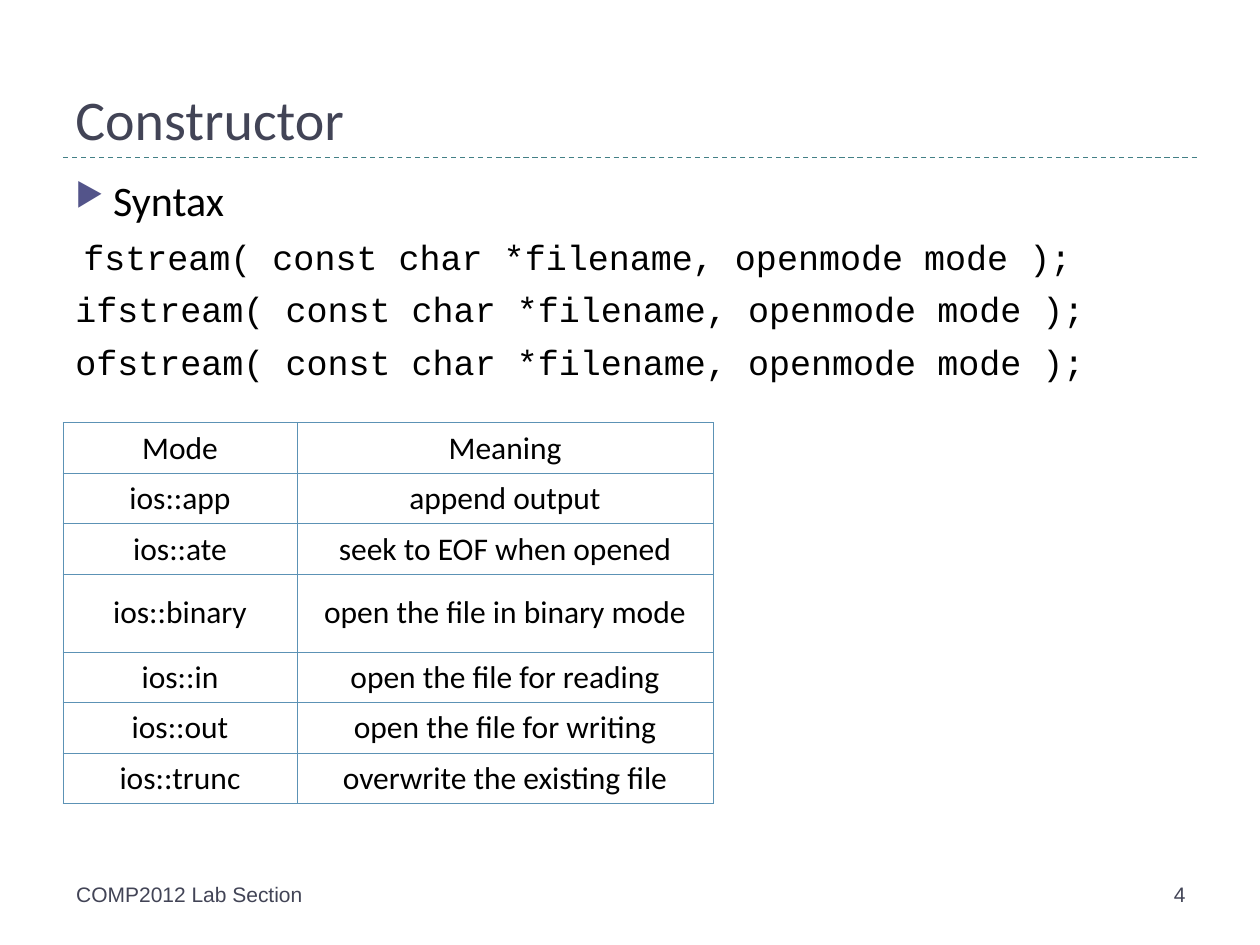
from lxml import etree
from pptx import Presentation
from pptx.dml.color import RGBColor
from pptx.enum import dml, shapes, text
from pptx.oxml import ns
from pptx.util import Pt

INK = RGBColor(0x42, 0x44, 0x56)
BLACK = RGBColor(0, 0, 0)
RULE = RGBColor(0x43, 0x80, 0x86)
BULLET = RGBColor(0x53, 0x54, 0x8A)
BORDER = RGBColor(0x5C, 0x92, 0xB5)
SANS, MONO, FOOT = "Calibri", "Courier New", "Arial"
INDENT = 21.6
ARGS = "( const char *filename, openmode mode );"
MODES = [
    ("Mode", "Meaning"),
    ("ios::app", "append output"),
    ("ios::ate", "seek to EOF when opened"),
    ("ios::binary", "open the file in binary mode"),
    ("ios::in", "open the file for reading"),
    ("ios::out", "open the file for writing"),
    ("ios::trunc", "overwrite the existing file"),
]


def add_sub(parent, tag, **attrs):
    """Append a DrawingML child element and return it."""
    child = etree.SubElement(parent, ns.qn(tag))
    for name, value in attrs.items():
        child.set(name, str(value))
    return child


def add_run(p, words, font, size, color):
    """Append one styled run to a paragraph."""
    r = p.add_run()
    r.text = words
    r.font.name, r.font.size = font, Pt(size)
    r.font.color.rgb = color


def add_frame(s, box, anchor=text.MSO_ANCHOR.TOP):
    """Add a wrapping text box and return its text frame."""
    tf = s.shapes.add_textbox(*map(Pt, box)).text_frame
    tf.word_wrap = True
    tf.vertical_anchor = anchor
    return tf


def add_title(s, box, words):
    """Place the title and the dashed rule along the bottom of its box."""
    left, top, width, height = box
    base = top + height
    line = s.shapes.add_connector(
        shapes.MSO_CONNECTOR.STRAIGHT, Pt(left), Pt(base), Pt(left + width), Pt(base))
    line.line.color.rgb, line.line.width = RULE, Pt(0.75)
    line.line.dash_style = dml.MSO_LINE.DASH
    add_sub(line._element.spPr, "a:effectLst")
    tf = add_frame(s, box, text.MSO_ANCHOR.BOTTOM)
    add_run(tf.paragraphs[0], words, SANS, 32, INK)


def add_syntax(s, box):
    """Place the bulleted heading and the constructor signatures."""
    tf = add_frame(s, box)
    p = tf.paragraphs[0]
    pPr = p._p.get_or_add_pPr()
    add_sub(add_sub(pPr, "a:buClr"), "a:srgbClr", val=BULLET)
    add_sub(pPr, "a:buSzPct", val=76000)
    add_sub(pPr, "a:buChar", char="▶")
    add_run(p, "Syntax", SANS, 24, BLACK)
    for name in ("fstream", "ifstream", "ofstream"):
        p = tf.add_paragraph()
        p.space_before = Pt(6)
        if name == "fstream":
            add_run(p, " ", SANS, 20, BLACK)
        add_run(p, name + ARGS, MONO, 20, BLACK)
    for p in tf.paragraphs:
        pPr = p._p.get_or_add_pPr()
        pPr.set("marL", str(Pt(INDENT)))
        pPr.set("indent", str(-Pt(INDENT)))


def style_cell(cell, words):
    """Fill in one centred, thinly bordered table cell."""
    cell.fill.background()
    cell.margin_left = cell.margin_right = Pt(0.72)
    cell.margin_top = cell.margin_bottom = Pt(3.6)
    cell.vertical_anchor = text.MSO_ANCHOR.MIDDLE
    p = cell.text_frame.paragraphs[0]
    p.alignment = text.PP_ALIGN.CENTER
    add_run(p, words, SANS, 18, BLACK)
    tcPr = cell._tc.get_or_add_tcPr()
    for i, side in enumerate("LRTB"):
        ln = add_sub(tcPr, f"a:ln{side}", w=Pt(0.45))
        add_sub(add_sub(ln, "a:solidFill"), "a:srgbClr", val=BORDER)
        tcPr.insert(i, ln)


def add_modes(s, box):
    """Place the table of open modes."""
    table = s.shapes.add_table(len(MODES), 2, *map(Pt, box)).table
    table.first_row = table.horz_banding = False
    for col, share in zip(table.columns, (0.36, 0.64)):
        col.width = Pt(box[2] * share)
    for row, words in zip(table.rows, MODES):
        row.height = Pt(44.6 if words[0] == "ios::binary" else 23)
        for cell, word in zip(row.cells, words):
            style_cell(cell, word)


def add_footer(s, box, words, align):
    """Place one footer text."""
    p = add_frame(s, box).paragraphs[0]
    p.alignment = align
    add_run(p, words, FOOT, 12, INK)


def main():
    """Build and save the slide."""
    prs = Presentation()
    prs.slide_width, prs.slide_height = Pt(720), Pt(540)
    s = prs.slides.add_slide(prs.slide_layouts[6])
    add_title(s, (36, 12, 648, 78), "Constructor")
    add_syntax(s, (36, 96, 648, 388.8))
    add_footer(s, (36.5, 500.4, 468, 28.8), "COMP2012 Lab Section", text.PP_ALIGN.LEFT)
    add_footer(s, (528.5, 500.4, 156, 28.8), "4", text.PP_ALIGN.RIGHT)
    add_modes(s, (36, 241.6, 371.5, 162))
    prs.save("out.pptx")


if __name__ == "__main__":
    main()
